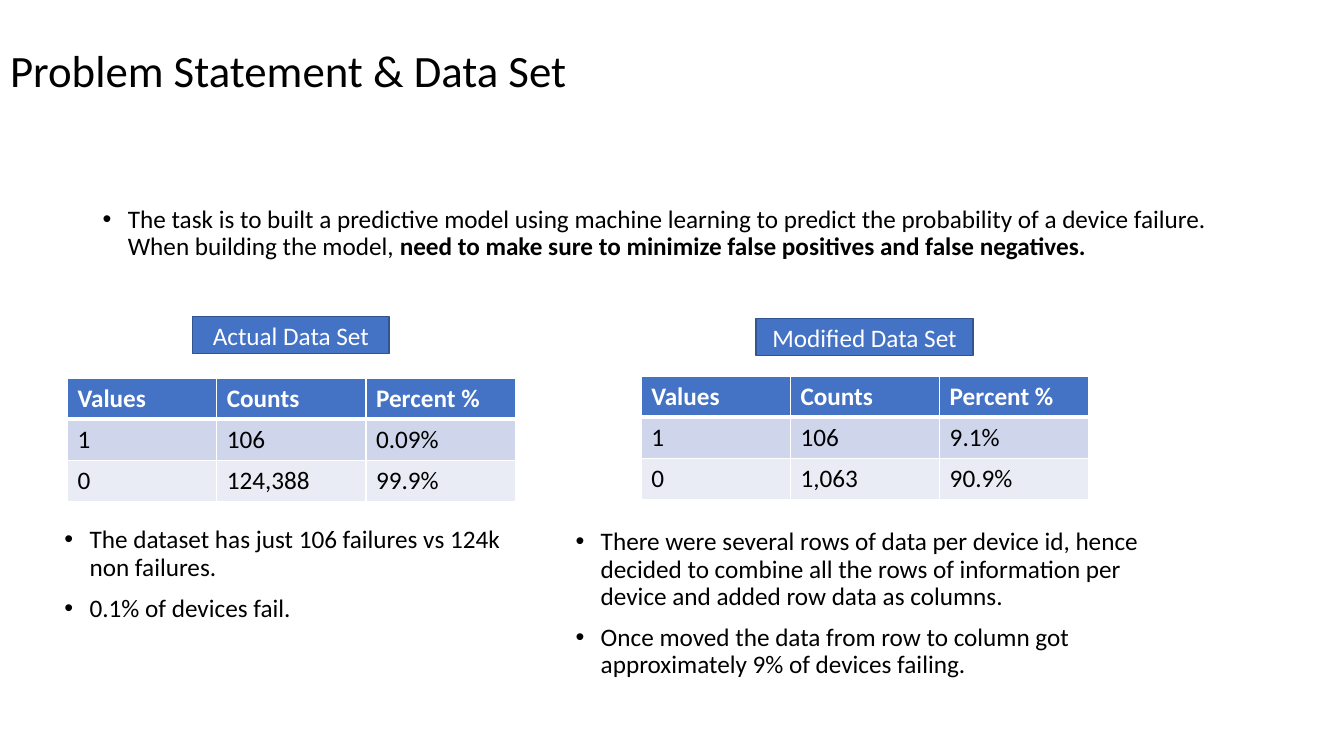
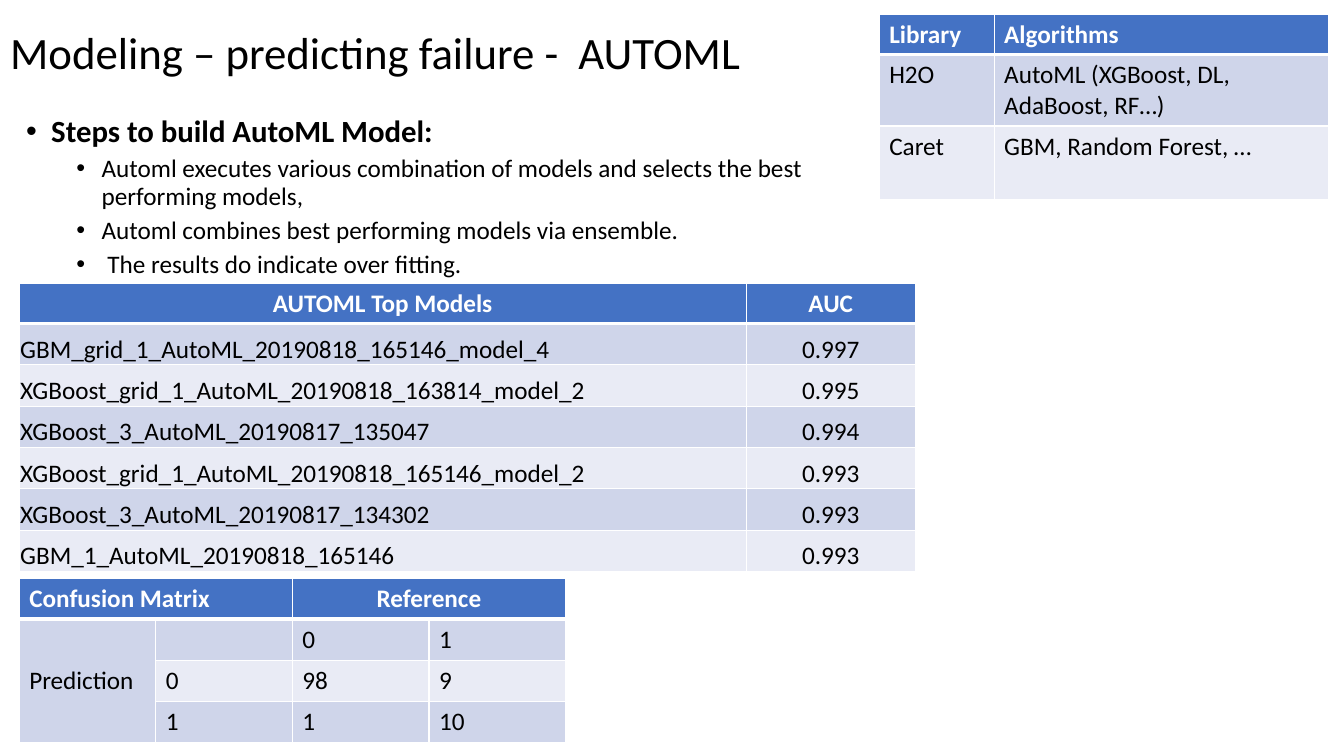
from lxml.etree import SubElement
from pptx import Presentation
from pptx.dml.color import RGBColor
from pptx.enum.shapes import MSO_SHAPE
from pptx.enum.text import MSO_ANCHOR, PP_ALIGN
from pptx.oxml.ns import qn
from pptx.util import Inches, Pt

BLACK = RGBColor(0x00, 0x00, 0x00)
WHITE = RGBColor(0xFF, 0xFF, 0xFF)
BLUE = RGBColor(0x44, 0x72, 0xC4)
DARK_BLUE = RGBColor(0x32, 0x54, 0x91)
BANDS = (RGBColor(0xE9, 0xEB, 0xF5), RGBColor(0xCF, 0xD5, 0xEA))
FONT = "Calibri"
TITLE_SIZE = 32
HEADING_SIZE = 22
TEXT_SIZE = 18
ROW_HEIGHT = 0.41
HEADER_HEIGHT = 0.4


class SlideWriter:
    def __init__(self, deck):
        self.deck = deck
        self.page = None

    def start(self, title, height):
        self.page = self.deck.slides.add_slide(self.deck.slide_layouts[5])
        box = self.page.shapes.title
        box.left, box.top = Inches(0), Inches(0)
        box.width, box.height = Inches(11.5), Inches(height)
        frame = box.text_frame
        frame.vertical_anchor = MSO_ANCHOR.MIDDLE
        para = frame.paragraphs[0]
        para.alignment = PP_ALIGN.LEFT
        para.line_spacing = 0.9
        self.span(para, title, TITLE_SIZE)

    def span(self, para, text, size=TEXT_SIZE, color=BLACK, bold=False):
        span = para.add_run()
        span.text = text
        span.font.name = FONT
        span.font.size = Pt(size)
        span.font.bold = bold
        span.font.color.rgb = color

    def bullets(self, left, top, width, height, items):
        box = self.page.shapes.add_textbox(
            Inches(left), Inches(top), Inches(width), Inches(height))
        frame = box.text_frame
        frame.word_wrap = True
        for index, (level, size, runs) in enumerate(items):
            para = frame.add_paragraph() if index else frame.paragraphs[0]
            para.level = level
            para.line_spacing = 0.9
            para.space_before = Pt(5 if level else 10)
            properties = para._p.get_or_add_pPr()
            properties.set("marL", str(Inches(0.25 + 0.5 * level)))
            properties.set("indent", str(Inches(-0.25)))
            SubElement(properties, qn("a:buFont"), typeface="Arial")
            SubElement(properties, qn("a:buChar"), char="•")
            for text, bold in runs:
                self.span(para, text, size, bold=bold)

    def label(self, left, top, width, text):
        box = self.page.shapes.add_shape(
            MSO_SHAPE.RECTANGLE, Inches(left), Inches(top), Inches(width), Inches(0.37))
        box.shadow.inherit = False
        box.fill.solid()
        box.fill.fore_color.rgb = BLUE
        box.line.color.rgb = DARK_BLUE
        box.line.width = Pt(1)
        box.text_frame.vertical_anchor = MSO_ANCHOR.MIDDLE
        para = box.text_frame.paragraphs[0]
        para.alignment = PP_ALIGN.CENTER
        self.span(para, text, color=WHITE)

    def borders(self, cell, row):
        properties = cell._tc.get_or_add_tcPr()
        widths = {"L": 1, "R": 1, "T": 3 if row == 1 else 1, "B": 3 if row == 0 else 1}
        for side, width in widths.items():
            line = SubElement(properties, qn(f"a:ln{side}"), w=str(Pt(width)))
            fill = SubElement(line, qn("a:solidFill"))
            SubElement(fill, qn("a:srgbClr"), val=str(WHITE))

    def table(self, left, top, widths, heights, rows):
        frame = self.page.shapes.add_table(
            len(rows), len(widths), Inches(left), Inches(top),
            Inches(sum(widths)), Inches(sum(heights)))
        table = frame.table
        for column, width in zip(table.columns, widths):
            column.width = Inches(width)
        for row, (height, texts) in enumerate(zip(heights, rows)):
            table.rows[row].height = Inches(height)
            for column, text in enumerate(texts):
                cell = table.cell(row, column)
                self.borders(cell, row)
                cell.fill.solid()
                cell.fill.fore_color.rgb = BANDS[row % 2] if row else BLUE
                if text:
                    self.span(cell.text_frame.paragraphs[0], text,
                              color=BLACK if row else WHITE, bold=row == 0)
        return table


def center(cell):
    cell.text_frame.paragraphs[0].alignment = PP_ALIGN.CENTER


def problem_slide(writer):
    writer.start("Problem Statement & Data Set", 1.45)
    writer.bullets(0.92, 2, 11.5, 0.8, [
        (0, TEXT_SIZE, [
            ("The task is to built a predictive model using machine learning to predict "
             "the probability of a device failure. When building the model, ", False),
            ("need to make sure to minimize false positives and false negatives.", True),
        ]),
    ])
    header = ("Values", "Counts", "Percent %")
    data_sets = [
        (0.67, 3.75, [("1", "106", "0.09%"), ("0", "124,388", "99.9%")]),
        (6.36, 3.73, [("1", "106", "9.1%"), ("0", "1,063", "90.9%")]),
    ]
    for left, top, rows in data_sets:
        writer.table(left, top, [1.48] * 3, [ROW_HEIGHT] * 3, [header, *rows])
    remarks = [
        ((0.54, 5.18, 4.69, 1.19), [
            "The dataset has just 106 failures vs 124k non failures.",
            "0.1% of devices fail.",
        ]),
        ((5.61, 5.2, 6.31, 1.81), [
            "There were several rows of data per device id, hence decided to combine all "
            "the rows of information per device and added row data as columns.",
            "Once moved the data from row to column got approximately 9% of devices failing.",
        ]),
    ]
    for place, texts in remarks:
        writer.bullets(*place, [(0, TEXT_SIZE, [(text, False)]) for text in texts])
    writer.label(7.5, 3.16, 2.15, "Modified Data Set")
    writer.label(1.91, 3.14, 1.95, "Actual Data Set")


def modeling_slide(writer):
    writer.start("Modeling – predicting failure -  AUTOML", 1.1)
    steps = [
        "Automl executes various combination of models and selects the best performing models,",
        "Automl combines best performing models via ensemble.",
        " The results do indicate over fitting.",
    ]
    writer.bullets(0.16, 1.1, 7.98, 1.7, [
        (0, HEADING_SIZE, [("Steps to build AutoML Model:", True)]),
        *[(1, TEXT_SIZE, [(step, False)]) for step in steps],
    ])
    writer.table(8.72, 0.14, [1.14, 3.32], [HEADER_HEIGHT, 0.71, 0.73], [
        ("Library", "Algorithms"),
        ("H2O", "AutoML (XGBoost, DL, AdaBoost, RF…)"),
        ("Caret", "GBM, Random Forest, …"),
    ])

    matrix = writer.table(0.19, 5.74, [1.355] * 4, [HEADER_HEIGHT] + [ROW_HEIGHT] * 3, [
        ("Confusion Matrix", "", "Reference", ""),
        ("Prediction", "", "0", "1"),
        ("", "0", "98", "9"),
        ("", "1", "1", "10"),
    ])
    matrix.cell(0, 0).merge(matrix.cell(0, 1))
    matrix.cell(0, 2).merge(matrix.cell(0, 3))
    matrix.cell(1, 0).merge(matrix.cell(3, 0))
    center(matrix.cell(0, 2))
    matrix.cell(1, 0).vertical_anchor = MSO_ANCHOR.MIDDLE

    models = writer.table(0.19, 2.81, [7.21, 1.68], [HEADER_HEIGHT] + [ROW_HEIGHT] * 6, [
        ("AUTOML Top Models", "AUC"),
        ("GBM_grid_1_AutoML_20190818_165146_model_4", "0.997"),
        ("XGBoost_grid_1_AutoML_20190818_163814_model_2", "0.995"),
        ("XGBoost_3_AutoML_20190817_135047", "0.994"),
        ("XGBoost_grid_1_AutoML_20190818_165146_model_2", "0.993"),
        ("XGBoost_3_AutoML_20190817_134302", "0.993"),
        ("GBM_1_AutoML_20190818_165146", "0.993"),
    ])
    center(models.cell(0, 0))
    for row in range(len(models.rows)):
        center(models.cell(row, 1))
        if row:
            for cell in models.rows[row].cells:
                cell.vertical_anchor = MSO_ANCHOR.BOTTOM
                cell.margin_left = cell.margin_right = cell.margin_top = Inches(0.01)
                cell.margin_bottom = Inches(0)


def main():
    deck = Presentation()
    deck.slide_width, deck.slide_height = Inches(13.33), Inches(7.5)
    writer = SlideWriter(deck)
    problem_slide(writer)
    modeling_slide(writer)
    deck.save("out.pptx")


if __name__ == "__main__":
    main()
